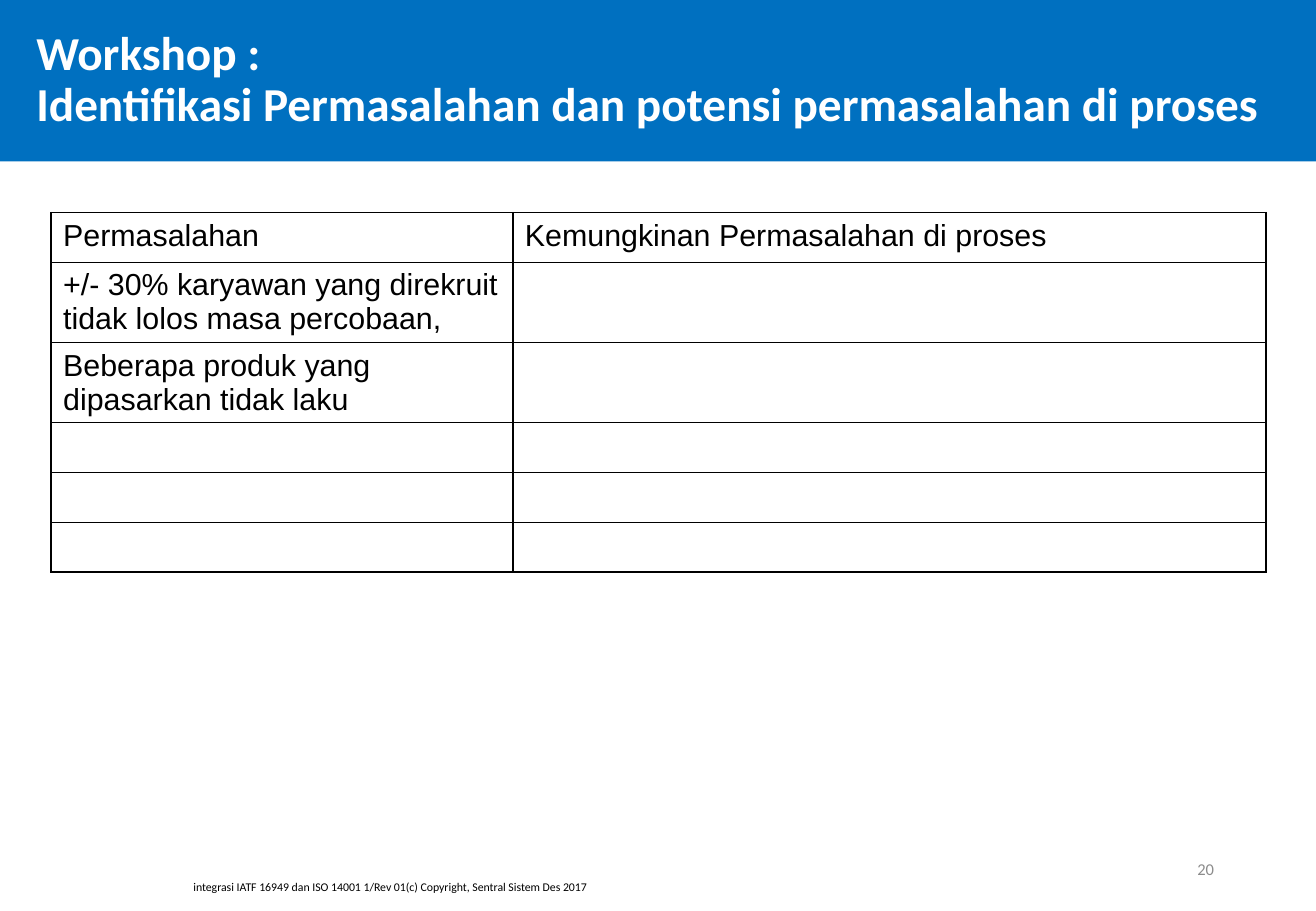
from pptx import Presentation
from pptx.dml.color import RGBColor
from pptx.enum.shapes import MSO_SHAPE
from pptx.enum.text import MSO_ANCHOR, PP_ALIGN
from pptx.oxml import parse_xml
from pptx.oxml.ns import nsdecls
from pptx.util import Inches, Pt

BLUE = RGBColor(0x00, 0x70, 0xC0)
WHITE = RGBColor(0xFF, 0xFF, 0xFF)
BLACK = RGBColor(0x00, 0x00, 0x00)
GRAY = RGBColor(0x8C, 0x8C, 0x8C)

TITLE = "Workshop :\vIdentifikasi Permasalahan dan potensi permasalahan di proses"
ROWS = [
    ("Permasalahan", "Kemungkinan Permasalahan di proses"),
    ("+/- 30% karyawan yang direkruit tidak lolos masa percobaan,", ""),
    ("Beberapa produk yang dipasarkan tidak laku", ""),
    ("", ""),
    ("", ""),
    ("", ""),
]
COLS = [3.8, 6.2]
HEIGHTS = [0.41, 0.66, 0.66, 0.41, 0.41, 0.41]


def write(frame, text, align, color, **style):
    frame.word_wrap = True
    frame.vertical_anchor = MSO_ANCHOR.MIDDLE
    para = frame.paragraphs[0]
    para.text = text
    para.alignment = align
    for run in para.runs:
        for key, value in style.items():
            setattr(run.font, key, value)
        run.font.color.rgb = color
    return para


def add_title(slide, box):
    bar = slide.shapes.add_shape(MSO_SHAPE.RECTANGLE, *map(Inches, box))
    bar.shadow.inherit = False
    bar.fill.solid()
    bar.fill.fore_color.rgb = BLUE
    bar.line.fill.background()
    para = write(bar.text_frame, TITLE, PP_ALIGN.LEFT, WHITE,
                 name="Calibri", size=Pt(28), bold=True)
    para.line_spacing = 0.9
    bar.text_frame.margin_left = Inches(0.3)


def add_border(cell):
    props = cell._tc.get_or_add_tcPr()
    for side in ("lnL", "lnR", "lnT", "lnB"):
        props.append(parse_xml(
            f'<a:{side} {nsdecls("a")} w="{Pt(1)}"><a:solidFill>'
            f'<a:srgbClr val="{BLACK}"/></a:solidFill></a:{side}>'))


def add_grid(slide, box):
    frame = slide.shapes.add_table(len(ROWS), len(COLS), *map(Inches, box))
    table = frame.table
    table.first_row = False
    table.horz_banding = False
    for col, width in zip(table.columns, COLS):
        col.width = Inches(width)
    for row, height, texts in zip(table.rows, HEIGHTS, ROWS):
        row.height = Inches(height)
        for cell, text in zip(row.cells, texts):
            add_border(cell)
            cell.fill.background()
            cell.text = text
            font = cell.text_frame.paragraphs[0].font
            font.name = "Arial"
            font.size = Pt(18)
            font.color.rgb = BLACK


def add_note(slide, box, text, align, color, size):
    note = slide.shapes.add_textbox(*map(Inches, box))
    write(note.text_frame, text, align, color, name="Calibri", size=Pt(size))


def main():
    deck = Presentation()
    deck.slide_width = Inches(10.83)
    deck.slide_height = Inches(7.5)
    slide = deck.slides.add_slide(deck.slide_layouts[6])
    add_title(slide, (0, 0, 10.83, 1.33))
    add_grid(slide, (0.42, 1.75, sum(COLS), sum(HEIGHTS)))
    add_note(slide, (7.65, 6.95, 2.44, 0.4), "20", PP_ALIGN.RIGHT, GRAY, 9.8)
    add_note(slide, (0, 7.1, 6.42, 0.4),
             "integrasi IATF 16949 dan ISO 14001 1/Rev 01(c) Copyright, Sentral Sistem Des 2017",
             PP_ALIGN.CENTER, BLACK, 7)
    deck.save("out.pptx")


if __name__ == "__main__":
    main()
